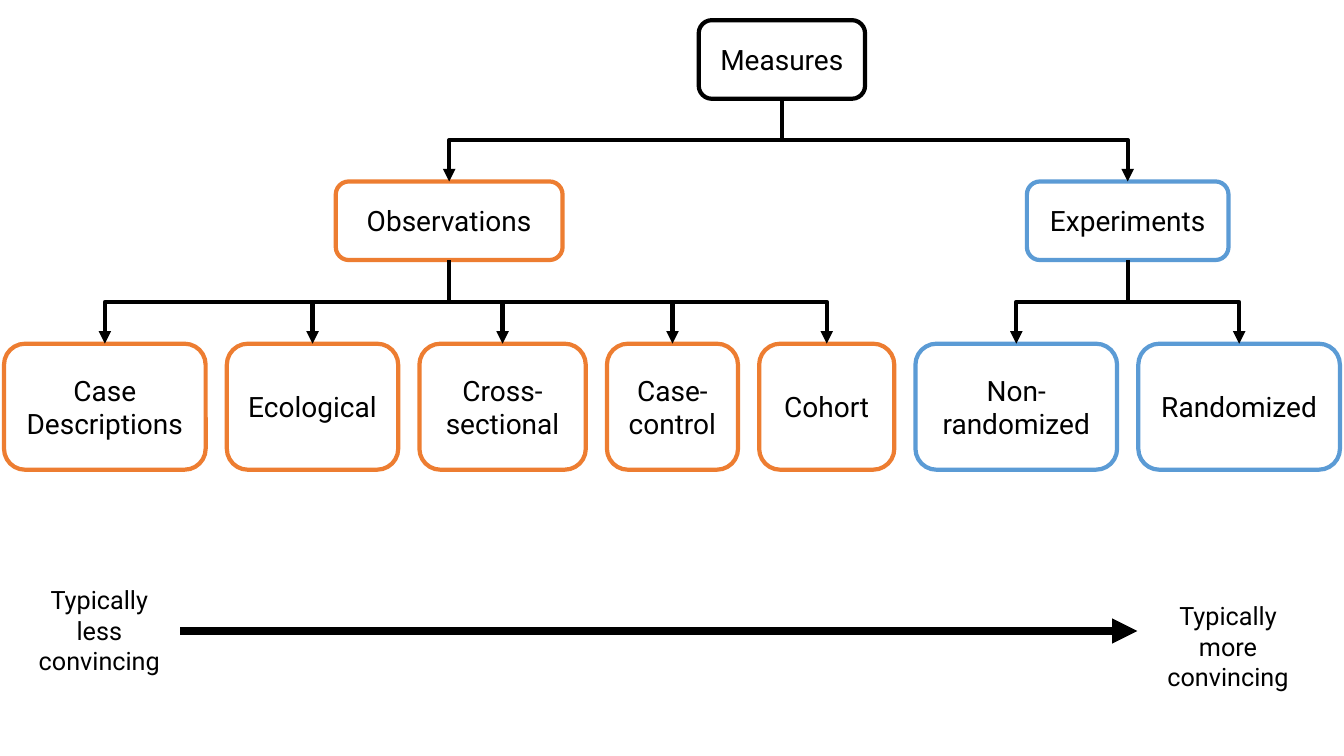
"""Build a slide with a tree of study types and an arrow of how convincing they are."""
from pptx import Presentation
from pptx.dml.color import RGBColor
from pptx.enum.shapes import MSO_CONNECTOR, MSO_SHAPE
from pptx.enum.text import MSO_ANCHOR, PP_ALIGN
from pptx.oxml.ns import qn
from pptx.util import Inches, Pt
from lxml.etree import SubElement

BLACK = RGBColor(0x00, 0x00, 0x00)
ORANGE = RGBColor(0xED, 0x7D, 0x31)
BLUE = RGBColor(0x5B, 0x9B, 0xD5)

ROOT_TOP, GROUP_TOP, LEAF_TOP = 0.2, 1.8, 3.41
BOX_HEIGHT, LEAF_HEIGHT = 0.78, 1.25
MARGIN, GAP = 0.04, 0.21
ROOT_CENTER = 7.755

GROUPS = [
    ("Observations", 2.25, ORANGE, [
        ("Case\nDescriptions", 2), ("Ecological", 1.7), ("Cross-sectional", 1.65),
        ("Case-control", 1.3), ("Cohort", 1.34)]),
    ("Experiments", 2, BLUE, [("Non-randomized", 2), ("Randomized", 2)]),
]

prs = Presentation()
prs.slide_width, prs.slide_height = Inches(13.33), Inches(7.5)
s = prs.slides.add_slide(prs.slide_layouts[6])


def add_text(text, left, top, width, height, size=20, color=None):
    """Add centred text, in a rounded outline if a color is given."""
    box = [Inches(v) for v in (left, top, width, height)]
    if color is None:
        sp = s.shapes.add_textbox(*box)
    else:
        sp = s.shapes.add_shape(MSO_SHAPE.ROUNDED_RECTANGLE, *box)
        sp.shadow.inherit = False
        sp.fill.background()
        sp.line.color.rgb = color
        sp.line.width = Pt(3)
    tf = sp.text_frame
    tf.word_wrap = True
    tf.vertical_anchor = MSO_ANCHOR.TOP if color is None else MSO_ANCHOR.MIDDLE
    tf.text = text
    for p in tf.paragraphs:
        p.alignment = PP_ALIGN.CENTER
        p.font.size = Pt(size)
        for r in p.runs:
            r.font.name = "Roboto"
            r.font.size = Pt(size)
            r.font.color.rgb = BLACK
    return sp


def style_arrow(cxn, weight):
    """Give a connector a black line with a triangular head and no shadow."""
    cxn.line.color.rgb = BLACK
    cxn.line.width = Pt(weight)
    SubElement(cxn.line._get_or_add_ln(), qn("a:tailEnd"), type="triangle")
    SubElement(cxn.element.spPr, qn("a:effectLst"))


root = add_text("Measures", ROOT_CENTER - 1.65 / 2, ROOT_TOP, 1.65, BOX_HEIGHT, color=BLACK)
links = []
left = MARGIN
for name, width, color, leaves in GROUPS:
    span = sum(w for _, w in leaves) + GAP * (len(leaves) - 1)
    group = add_text(name, left + (span - width) / 2, GROUP_TOP, width, BOX_HEIGHT, color=color)
    links.append((root, group))
    for leaf_name, leaf_width in leaves:
        leaf = add_text(leaf_name, left, LEAF_TOP, leaf_width, LEAF_HEIGHT, color=color)
        links.append((group, leaf))
        left += leaf_width + GAP

for parent, child in links:
    x1, y1 = parent.left + parent.width // 2, parent.top + parent.height
    x2, y2 = child.left + child.width // 2, child.top
    drop, run = y2 - y1, abs(x2 - x1)
    cxn = s.shapes.add_connector(MSO_CONNECTOR.ELBOW, x1, y1, x2, y2)
    cxn.begin_connect(parent, 2)
    cxn.end_connect(child, 0)
    cxn.left, cxn.top = (x1 + x2 - drop) // 2, (y1 + y2 - run) // 2
    cxn.width, cxn.height = drop, run
    xfrm = cxn.element.spPr.xfrm
    xfrm.set("rot", str((270 if x2 > x1 else 90) * 60000))
    xfrm.set("flipH", "1" if x2 > x1 else "0")
    style_arrow(cxn, 3)

add_text("Typically less convincing", 0.18, 5.75, 1.61, 1.01, size=18)
add_text("Typically more convincing", 11.28, 5.91, 1.8, 0.71, size=18)
scale = s.shapes.add_connector(
    MSO_CONNECTOR.STRAIGHT, Inches(1.79), Inches(6.26), Inches(11.28), Inches(6.26))
style_arrow(scale, 6)

prs.save("out.pptx")
